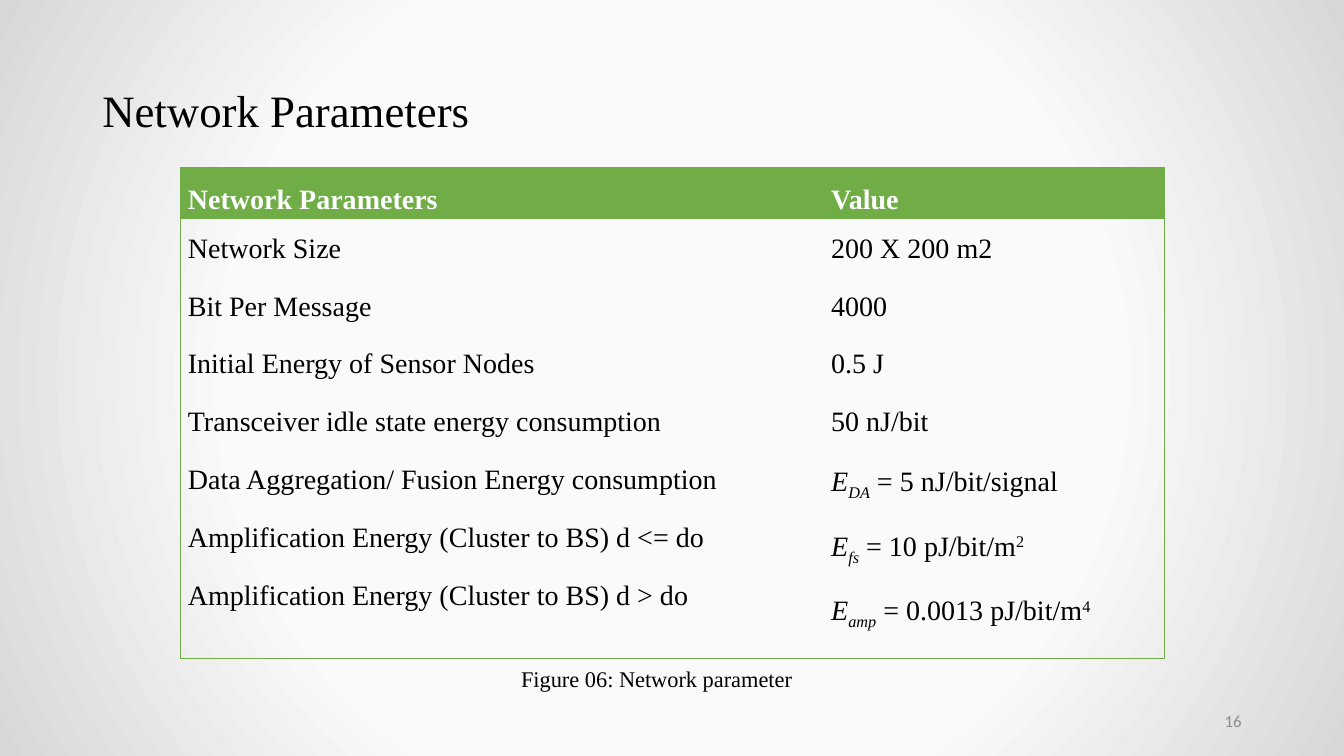
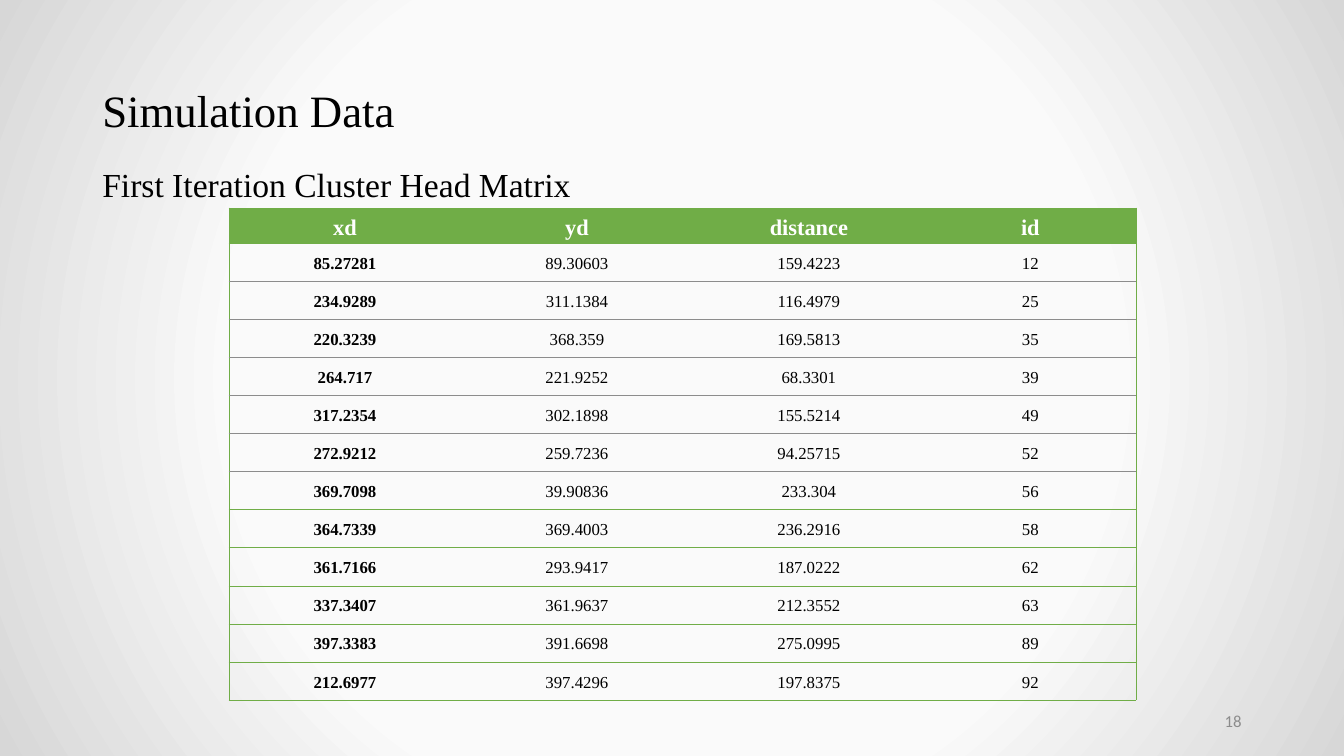
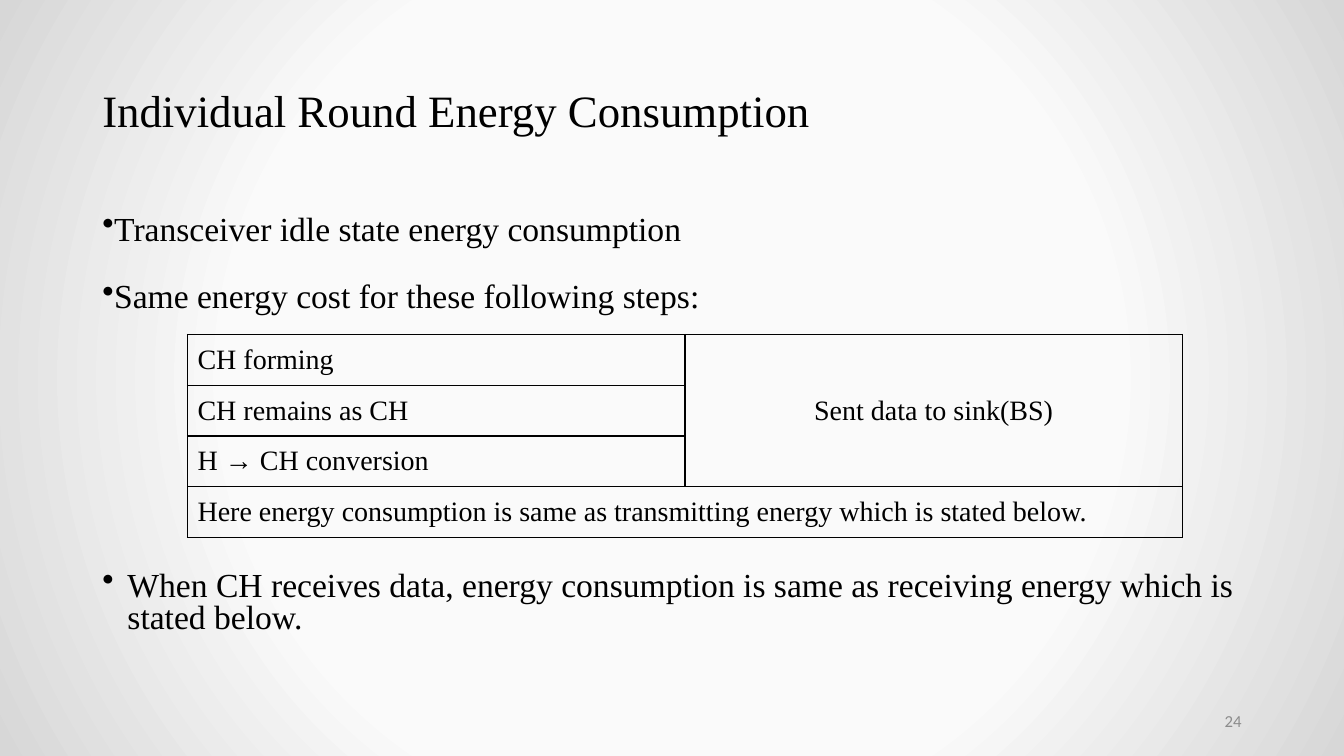
"""Build three slides on the parameters, data and energy use of a sensor network."""
from dataclasses import dataclass, replace
from typing import NamedTuple, Optional, Sequence, Union

from lxml import etree
from pptx import Presentation
from pptx.dml.color import RGBColor
from pptx.enum import text as t
from pptx.oxml.ns import qn
from pptx.util import Pt

BLACK = RGBColor(0x00, 0x00, 0x00)
WHITE = RGBColor(0xFF, 0xFF, 0xFF)
GREEN = RGBColor(0x70, 0xAD, 0x47)
GRAY = RGBColor(0x8C, 0x8C, 0x8C)
CENTER_GLOW = RGBColor(0xFA, 0xFA, 0xFA)
EDGE_SHADE = RGBColor(0xD7, 0xD7, 0xD7)
NO_TABLE_STYLE = "{2D5ABB26-0587-4C30-8999-92F81FD0307C}"
SIDES = ("L", "R", "T", "B")


class Run(NamedTuple):
    text: str
    italic: bool = False
    baseline: int = 0


class Box(NamedTuple):
    left: float
    top: float
    width: float
    height: float


class Border(NamedTuple):
    color: RGBColor
    width: float


class Bullet(NamedTuple):
    margin: float
    indent: float


Line = Union[str, Sequence[Run]]


@dataclass(frozen=True)
class Style:
    size: float
    color: RGBColor = BLACK
    font: str = "Times New Roman"
    bold: bool = False
    align: t.PP_ALIGN = t.PP_ALIGN.LEFT
    spacing: float = 1.0
    before: float = 0
    after: float = 0
    bullet: Optional[Bullet] = None


@dataclass(frozen=True)
class CellLook:
    style: Style
    anchor: t.MSO_ANCHOR = t.MSO_ANCHOR.MIDDLE
    inset_x: float = 5.4
    inset_y: float = 0
    fill: Optional[RGBColor] = None


TITLE_BOX = Box(66, 28.8, 828, 104.4)
NUMBER_BOX = Box(678, 500.4, 216, 28.8)
TITLE = Style(32, spacing=0.9)
NUMBER = Style(12, GRAY, "Calibri", align=t.PP_ALIGN.RIGHT)
THIN_GREEN = Border(GREEN, 0.5)
THIN_GRAY = Border(GRAY, 0.5)
THIN_BLACK = Border(BLACK, 1)

PARAMETERS: list[tuple[str, Line]] = [
    ("Network Size", "200 X 200 m2"),
    ("Bit Per Message", "4000"),
    ("Initial Energy of Sensor Nodes", "0.5 J"),
    ("Transceiver idle state energy consumption", "50 nJ/bit"),
    ("Data Aggregation/ Fusion Energy consumption",
     [Run("E", True), Run("DA", True, -25), Run(" = 5 nJ/bit/signal")]),
    ("Amplification Energy (Cluster to BS) d <= do",
     [Run("E", True), Run("fs", True, -25), Run(" = 10 pJ/bit/m"), Run("2", baseline=30)]),
    ("Amplification Energy (Cluster to BS) d > do",
     [Run("E", True), Run("amp", True, -25), Run(" = 0.0013 pJ/bit/m"), Run("4", baseline=30)]),
]

CLUSTER_HEADS = [
    ("xd", "yd", "distance", "id"),
    ("85.27281", "89.30603", "159.4223", "12"),
    ("234.9289", "311.1384", "116.4979", "25"),
    ("220.3239", "368.359", "169.5813", "35"),
    ("264.717", "221.9252", "68.3301", "39"),
    ("317.2354", "302.1898", "155.5214", "49"),
    ("272.9212", "259.7236", "94.25715", "52"),
    ("369.7098", "39.90836", "233.304", "56"),
    ("364.7339", "369.4003", "236.2916", "58"),
    ("361.7166", "293.9417", "187.0222", "62"),
    ("337.3407", "361.9637", "212.3552", "63"),
    ("397.3383", "391.6698", "275.0995", "89"),
    ("212.6977", "397.4296", "197.8375", "92"),
]


def write_line(paragraph, line: Line, style: Style) -> None:
    paragraph.alignment = style.align
    paragraph.line_spacing = style.spacing
    paragraph.space_before = Pt(style.before)
    paragraph.space_after = Pt(style.after)
    font = paragraph.font
    font.name, font.size, font.bold = style.font, Pt(style.size), style.bold
    font.color.rgb = style.color
    if style.bullet:
        props = paragraph._p.get_or_add_pPr()
        props.set("marL", str(Pt(style.bullet.margin)))
        props.set("indent", str(Pt(style.bullet.indent)))
        mark = etree.Element(qn("a:buChar"), char="•")
        props.find(qn("a:defRPr")).addprevious(mark)
    for part in [Run(line)] if isinstance(line, str) else line:
        run = paragraph.add_run()
        run.text = part.text
        if part.italic:
            run.font.italic = True
        if part.baseline:
            run._r.get_or_add_rPr().set("baseline", str(part.baseline * 1000))


def write_lines(frame, lines: Sequence[tuple[Line, Style]]) -> None:
    for index, (line, style) in enumerate(lines):
        paragraph = frame.add_paragraph() if index else frame.paragraphs[0]
        write_line(paragraph, line, style)


def add_text(slide, box: Box, lines: Sequence[tuple[Line, Style]],
             anchor: t.MSO_ANCHOR = t.MSO_ANCHOR.TOP) -> None:
    frame = slide.shapes.add_textbox(*map(Pt, box)).text_frame
    frame.word_wrap = True
    frame.vertical_anchor = anchor
    write_lines(frame, lines)


def add_grid(slide, left: float, top: float, columns: Sequence[float], rows: Sequence[float]):
    frame = slide.shapes.add_table(len(rows), len(columns), Pt(left), Pt(top),
                                   Pt(sum(columns)), Pt(sum(rows)))
    table = frame.table
    table.first_row = table.horz_banding = False
    table._tbl.tblPr.find(qn("a:tableStyleId")).text = NO_TABLE_STYLE
    for column, width in zip(table.columns, columns):
        column.width = Pt(width)
    for row, height in zip(table.rows, rows):
        row.height = Pt(height)
    return table


def set_borders(cell, borders: dict[str, Border]) -> None:
    props = cell._tc.get_or_add_tcPr()
    for side in SIDES:
        border = borders.get(side)
        edge = etree.SubElement(props, qn(f"a:ln{side}"), w=str(Pt(border.width) if border else 0))
        if border:
            fill = etree.SubElement(edge, qn("a:solidFill"))
            etree.SubElement(fill, qn("a:srgbClr"), val=str(border.color))
        else:
            etree.SubElement(edge, qn("a:noFill"))


def fill_cell(cell, lines: Sequence[Line], look: CellLook, borders: dict[str, Border]) -> None:
    set_borders(cell, borders)
    if look.fill is None:
        cell.fill.background()
    else:
        cell.fill.solid()
        cell.fill.fore_color.rgb = look.fill
    cell.vertical_anchor = look.anchor
    cell.margin_left = cell.margin_right = Pt(look.inset_x)
    cell.margin_top = cell.margin_bottom = Pt(look.inset_y)
    write_lines(cell.text_frame, [(line, look.style) for line in lines])


def paint_background(master) -> None:
    master.background.fill.gradient()
    gradient = master.element.find(".//" + qn("p:bgPr")).find(qn("a:gradFill"))
    for child in list(gradient):
        gradient.remove(child)
    stops = etree.SubElement(gradient, qn("a:gsLst"))
    for position, color in ((57, CENTER_GLOW), (100, EDGE_SHADE)):
        stop = etree.SubElement(stops, qn("a:gs"), pos=str(position * 1000))
        etree.SubElement(stop, qn("a:srgbClr"), val=str(color))
    circle = etree.SubElement(gradient, qn("a:path"), path="circle")
    etree.SubElement(circle, qn("a:fillToRect"), l="50000", t="50000", r="50000", b="50000")


def start_slide(deck, title: str, number: int):
    slide = deck.slides.add_slide(deck.slide_layouts[6])
    add_text(slide, TITLE_BOX, [(title, TITLE)], t.MSO_ANCHOR.MIDDLE)
    add_text(slide, NUMBER_BOX, [(str(number), NUMBER)], t.MSO_ANCHOR.MIDDLE)
    return slide


def build_parameters(deck) -> None:
    slide = start_slide(deck, "Network Parameters", 16)
    entry = Style(20, spacing=1.5, after=8)
    heading = CellLook(replace(entry, color=WHITE, bold=True), fill=GREEN)
    listing = CellLook(entry, t.MSO_ANCHOR.TOP)
    table = add_grid(slide, 128.8, 119.6, (459.5, 243.2), (30.2, 313.2))
    names, values = zip(*PARAMETERS)
    columns = (("Network Parameters", names, "L"), ("Value", values, "R"))
    for index, (header, lines, outer) in enumerate(columns):
        fill_cell(table.cell(0, index), [header], heading,
                  {side: THIN_GREEN for side in ("T", outer)})
        fill_cell(table.cell(1, index), lines, listing,
                  {side: THIN_GREEN for side in ("T", "B", outer)})
    add_text(slide, Box(361.5, 471.6, 215, 26.6),
             [("Figure 06: Network parameter", Style(16, align=t.PP_ALIGN.CENTER))])


def build_simulation(deck) -> None:
    slide = start_slide(deck, "Simulation Data", 18)
    add_text(slide, Box(66, 116.6, 828, 342.7),
             [("First Iteration Cluster Head Matrix", Style(24, spacing=0.9, before=10))])
    figure = Style(12, align=t.PP_ALIGN.CENTER, spacing=1.15)
    heading = CellLook(replace(figure, size=16, color=WHITE, bold=True), fill=GREEN)
    plain = CellLook(figure)
    leading = CellLook(replace(figure, bold=True))
    last_row, last_column = len(CLUSTER_HEADS) - 1, len(CLUSTER_HEADS[0]) - 1
    table = add_grid(slide, 163.6, 148.6, (165.7, 165.7, 165.7, 150.7),
                     [25.2] + [27.2] * last_row)
    rules = [THIN_GREEN if row in (0, 1) or row > 7 else THIN_GRAY
             for row in range(last_row + 2)]
    for row, record in enumerate(CLUSTER_HEADS):
        for column, value in enumerate(record):
            borders = {"T": rules[row], "B": rules[row + 1]}
            if column == 0:
                borders["L"] = THIN_GREEN
            if column == last_column:
                borders["R"] = THIN_GREEN
            look = heading if row == 0 else leading if column == 0 else plain
            fill_cell(table.cell(row, column), [value], look, borders)


def build_energy(deck) -> None:
    slide = start_slide(deck, "Individual Round Energy Consumption", 24)
    point = Style(24, spacing=1.4, after=8, bullet=Bullet(0, -18))
    closing = Style(24, spacing=0.8, before=175, bullet=Bullet(18, -18))
    add_text(slide, Box(66, 133.2, 828, 342.7), [
        ("Transceiver idle state energy consumption", point),
        ("Same energy cost for these following steps:", point),
        ("When CH receives data, energy consumption is same as receiving energy "
         "which is stated below.", closing),
    ])
    step = CellLook(Style(20, align=t.PP_ALIGN.JUSTIFY), inset_x=7.2, inset_y=3.6)
    outcome = replace(step, style=Style(20, align=t.PP_ALIGN.CENTER))
    steps = ("CH forming", "CH remains as CH", "H → CH conversion",
             "Here energy consumption is same as transmitting energy which is stated below.")
    table = add_grid(slide, 133.9, 239, [355.4] * 2, [36.2] * len(steps))
    table.cell(0, 1).merge(table.cell(2, 1))
    table.cell(3, 0).merge(table.cell(3, 1))
    frame = {side: THIN_BLACK for side in SIDES}
    for row, label in enumerate(steps):
        fill_cell(table.cell(row, 0), [label], step, frame)
        fill_cell(table.cell(row, 1), ["Sent data to sink(BS)"] if row == 0 else [],
                  outcome, frame)


def main() -> None:
    deck = Presentation()
    deck.slide_width, deck.slide_height = Pt(960), Pt(540)
    paint_background(deck.slide_master)
    build_parameters(deck)
    build_simulation(deck)
    build_energy(deck)
    deck.save("out.pptx")


if __name__ == "__main__":
    main()
